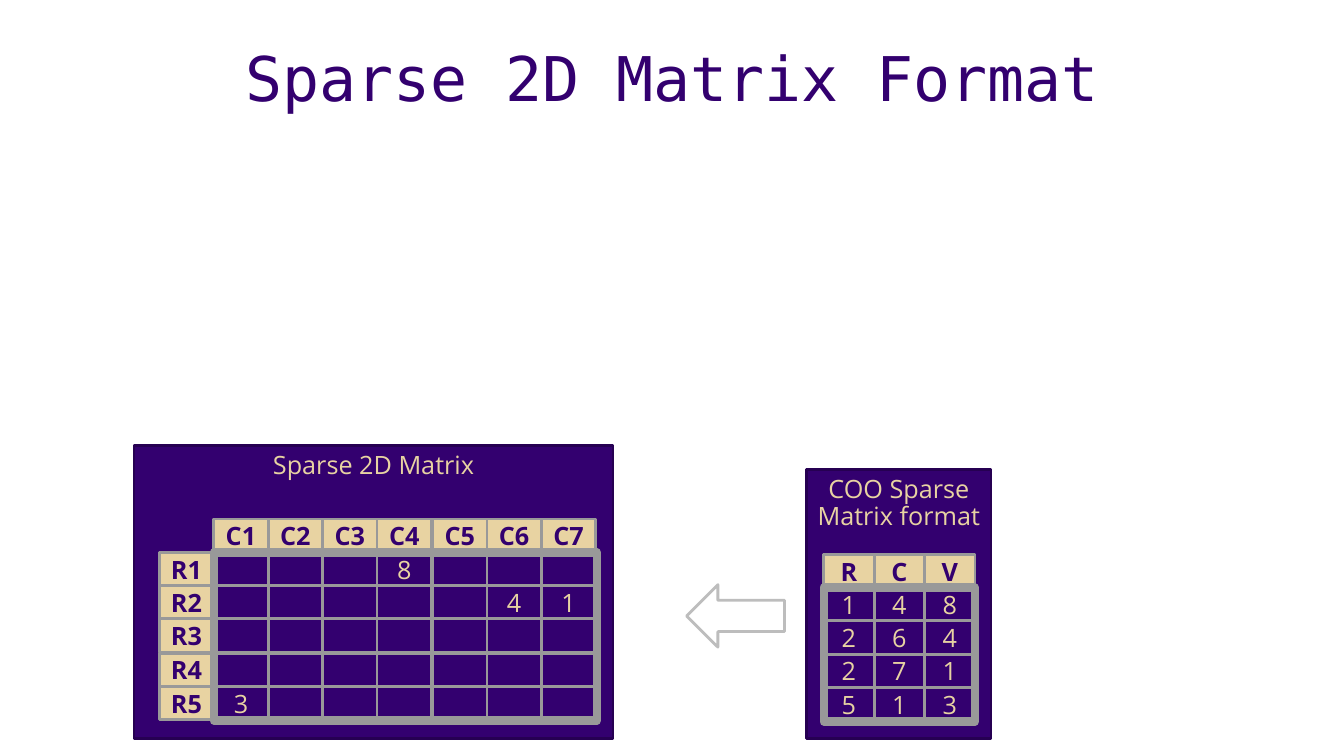
from dataclasses import dataclass

from pptx import Presentation
from pptx.dml.color import RGBColor as Color
from pptx.enum.shapes import MSO_SHAPE as Shape
from pptx.enum.text import MSO_ANCHOR as Anchor, PP_ALIGN as Align
from pptx.util import Emu, Pt

EMU_PER_PX = 9144  # 100 px to the inch


def px(length):
    return Emu(length * EMU_PER_PX)


@dataclass(frozen=True)
class Theme:
    purple: str = "33006F"
    dark_purple: str = "260052"
    gold: str = "E8D3A2"
    grid: str = "999999"
    arrow: str = "BDBDBD"
    white: str = "FFFFFF"
    title_font: str = "DejaVu Sans Mono"
    text_font: str = "Open Sans"
    title_size: int = 44
    text_size: int = 18
    thin: int = 2
    thick: int = 6


def write(shape, text, *, font, size, color, bold=False, anchor=Anchor.MIDDLE,
          side=0, top=0, spacing=1.0):
    """Put centred text into a shape."""
    frame = shape.text_frame
    frame.word_wrap = True
    frame.vertical_anchor = anchor
    frame.margin_left = frame.margin_right = px(side)
    frame.margin_top, frame.margin_bottom = px(top), px(0)
    para = frame.paragraphs[0]
    para.alignment = Align.CENTER
    para.line_spacing = spacing
    span = para.add_run()
    span.text = text
    span.font.name = font
    span.font.size = Pt(size)
    span.font.bold = bold
    span.font.color.rgb = Color.from_string(color)


class MatrixSlide:
    def __init__(self, deck, theme):
        self.theme = theme
        self.page = deck.slides.add_slide(deck.slide_layouts[5])

    def title(self, text, left, top, width, height):
        box = self.page.shapes.title
        box.left, box.top = px(left), px(top)
        box.width, box.height = px(width), px(height)
        write(box, text, font=self.theme.title_font,
              size=self.theme.title_size, color=self.theme.purple)

    def shape(self, kind, left, top, width, height, *, fill, line, weight):
        box = self.page.shapes.add_shape(
            kind, px(left), px(top), px(width), px(height))
        box.shadow.inherit = False
        if fill:
            box.fill.solid()
            box.fill.fore_color.rgb = Color.from_string(fill)
        else:
            box.fill.background()
        box.line.color.rgb = Color.from_string(line)
        box.line.width = Pt(weight)
        return box

    def panel(self, caption, left, top, width, height):
        theme = self.theme
        box = self.shape(Shape.RECTANGLE, left, top, width, height,
                         fill=theme.purple, line=theme.dark_purple,
                         weight=theme.thin)
        write(box, caption, font=theme.text_font, size=theme.text_size,
              color=theme.gold, anchor=Anchor.TOP, side=5, top=7, spacing=0.9)

    def cell(self, text, left, top, width, height, header=False):
        theme = self.theme
        fill, ink = theme.purple, theme.gold
        if header:
            fill, ink = ink, fill
        box = self.shape(Shape.RECTANGLE, left, top, width, height,
                         fill=fill, line=theme.grid, weight=theme.thin)
        if text:
            write(box, text, font=theme.text_font, size=theme.text_size,
                  color=ink, bold=header)

    def grid(self, rows, left, top, width, height, columns, row_names=()):
        """Draw a framed grid of values with headers outside its frame."""
        xs = [left + width * i // len(columns) for i in range(len(columns))]
        ys = [top + height * i // len(rows) for i in range(len(rows))]
        cell_width = round(width / len(columns))
        cell_height = round(height / len(rows))
        size = (cell_width, cell_height)
        for y, row in zip(ys, rows):
            for x, value in zip(xs, row):
                self.cell(value, x, y, *size)
        for x, name in zip(xs, columns):
            self.cell(name, x, top - cell_height, *size, header=True)
        for y, name in zip(ys, row_names):
            self.cell(name, left - cell_width, y, *size, header=True)
        self.shape(Shape.RECTANGLE, left, top, width, height, fill=None,
                   line=self.theme.grid, weight=self.theme.thick)

    def left_arrow(self, left, top, width, height):
        box = self.shape(Shape.RIGHT_ARROW, left, top, width, height,
                         fill=self.theme.white, line=self.theme.arrow,
                         weight=self.theme.thin)
        box.rotation = 180


def main():
    deck = Presentation()
    deck.slide_width, deck.slide_height = px(1333), px(750)
    slide = MatrixSlide(deck, Theme())
    slide.title("Sparse 2D Matrix Format", 92, 25, 1150, 102)

    # Row, column and value of every filled cell
    entries = [(1, 4, 8), (2, 6, 4), (2, 7, 1), (5, 1, 3)]
    filled = {(row, column): str(value) for row, column, value in entries}

    # Coordinate list
    slide.panel("COO Sparse Matrix format", 800, 466, 183, 267)
    slide.grid([[str(number) for number in entry] for entry in entries],
               817, 583, 150, 133, columns="RCV")

    slide.left_arrow(681, 580, 97, 62)

    # Full matrix
    rows, columns = range(1, 6), range(1, 8)
    slide.panel("Sparse 2D Matrix", 133, 442, 475, 291)
    slide.grid([[filled.get((row, column), "") for column in columns]
                for row in rows],
               212, 548, 380, 167,
               columns=[f"C{column}" for column in columns],
               row_names=[f"R{row}" for row in rows])

    deck.save("out.pptx")


if __name__ == "__main__":
    main()
